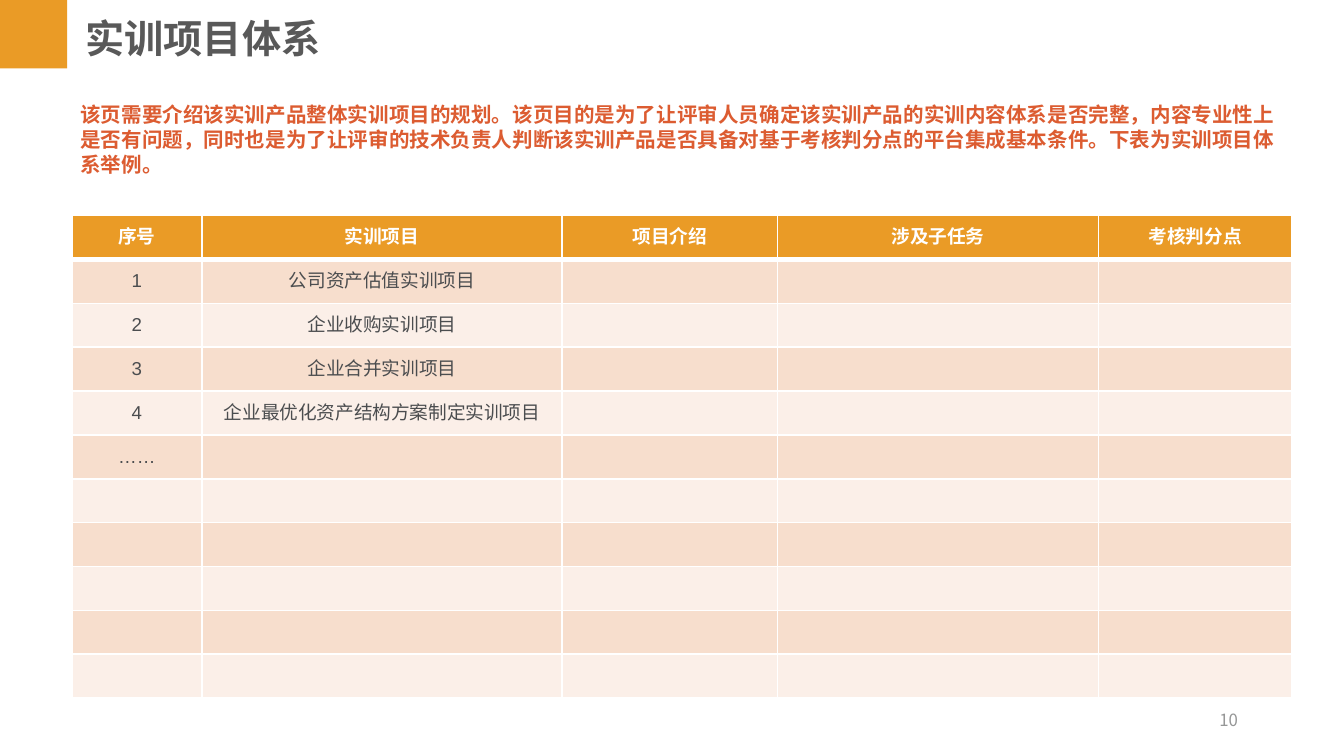
from pptx import Presentation
from pptx.dml.color import RGBColor
from pptx.enum.shapes import MSO_SHAPE
from pptx.enum.text import MSO_ANCHOR, MSO_AUTO_SIZE, PP_ALIGN
from pptx.oxml.xmlchemy import OxmlElement
from pptx.util import Pt

RECT = MSO_SHAPE.RECTANGLE
TOP, MIDDLE = MSO_ANCHOR.TOP, MSO_ANCHOR.MIDDLE
LEFT, CENTER, RIGHT = PP_ALIGN.LEFT, PP_ALIGN.CENTER, PP_ALIGN.RIGHT
NO_FIT = MSO_AUTO_SIZE.NONE

ORANGE = RGBColor(0xEA, 0x9B, 0x26)
RUST = RGBColor(0xDC, 0x5C, 0x31)
PEACH = RGBColor(0xF7, 0xDE, 0xCD)
CREAM = RGBColor(0xFB, 0xEF, 0xE8)
WHITE = RGBColor(0xFF, 0xFF, 0xFF)
DARK = RGBColor(0x59, 0x59, 0x59)
INK = RGBColor(0x4B, 0x4D, 0x4F)
GRAY = RGBColor(0x96, 0x97, 0x97)

HEADS = ["序号", "实训项目", "项目介绍", "涉及子任务", "考核判分点"]
ITEMS = [
    ["1", "公司资产估值实训项目"],
    ["2", "企业收购实训项目"],
    ["3", "企业合并实训项目"],
    ["4", "企业最优化资产结构方案制定实训项目"],
    ["……"],
]
WIDTHS = [69.6, 193, 115.4, 172, 103.8]
ROWS = 11
INTRO = (
    "该页需要介绍该实训产品整体实训项目的规划。"
    "该页目的是为了让评审人员确定该实训产品的实训内容体系是否完整，内容专业性上是否有问题，"
    "同时也是为了让评审的技术负责人判断该实训产品是否具备对基于考核判分点的平台集成基本条件。"
    "下表为实训项目体系举例。"
)


def write(frame, text, size, color, face="Noto Sans CJK SC", bold=False, align=LEFT, pitch=None):
    para = frame.paragraphs[0]
    para.alignment = align
    if pitch:
        para.line_spacing = Pt(pitch)
    if not text:
        end = OxmlElement("a:endParaRPr")
        end.set("sz", str(size * 100))
        para._p.append(end)
        return
    run = para.add_run()
    run.text = text
    font = run.font
    font.name, font.size, font.bold = face, Pt(size), bold
    font.color.rgb = color
    east = OxmlElement("a:ea")
    east.set("typeface", face)
    run._r.get_or_add_rPr().append(east)


def edge(cell, side, width):
    line = OxmlElement("a:ln" + side)
    line.set("w", str(Pt(width)))
    fill = OxmlElement("a:solidFill")
    color = OxmlElement("a:srgbClr")
    color.set("val", str(WHITE))
    fill.append(color)
    line.append(fill)
    cell._tc.get_or_add_tcPr().append(line)


class Page:
    def __init__(self, deck):
        self.slide = deck.slides.add_slide(deck.slide_layouts[5])
        self.shapes = self.slide.shapes

    def block(self, x, y, w, h, color):
        shape = self.shapes.add_shape(RECT, Pt(x), Pt(y), Pt(w), Pt(h))
        shape.shadow.inherit = False
        shape.fill.solid()
        shape.fill.fore_color.rgb = color
        shape.line.fill.background()

    def title(self, text, x, y, w, h, **style):
        shape = self.shapes.title
        shape.left, shape.top, shape.width, shape.height = Pt(x), Pt(y), Pt(w), Pt(h)
        self.fit(shape.text_frame, text, **style)

    def label(self, text, x, y, w, h, **style):
        shape = self.shapes.add_textbox(Pt(x), Pt(y), Pt(w), Pt(h))
        self.fit(shape.text_frame, text, **style)

    def fit(self, frame, text, anchor=TOP, drop=0, **style):
        frame.word_wrap = True
        frame.auto_size = NO_FIT
        frame.vertical_anchor = anchor
        frame.margin_top = Pt(3.6 + drop)
        write(frame, text, **style)

    def table(self, heads, items, x, y, widths, rows, height):
        shape = self.shapes.add_table(rows, len(heads), Pt(x), Pt(y), Pt(sum(widths)), Pt(height))
        grid = shape.table
        for col, width in zip(grid.columns, widths):
            col.width = Pt(width)
        for row in grid.rows:
            row.height = Pt(height / rows)
        for r in range(rows):
            texts = ([heads] + items)[r] if r <= len(items) else []
            for c in range(len(heads)):
                self.cell(grid.cell(r, c), texts[c] if c < len(texts) else "", r)

    def cell(self, cell, text, row):
        head = row == 0
        edge(cell, "L", 1)
        edge(cell, "R", 1)
        edge(cell, "T", 3 if row == 1 else 1)
        edge(cell, "B", 3 if head else 1)
        cell.fill.solid()
        cell.fill.fore_color.rgb = ORANGE if head else PEACH if row % 2 else CREAM
        cell.vertical_anchor = MIDDLE
        cell.margin_left = cell.margin_right = Pt(5)
        cell.margin_top = cell.margin_bottom = Pt(2.7)
        write(cell.text_frame, text, size=10, color=WHITE if head else INK,
              face="Arial", bold=head, align=CENTER)


def main():
    deck = Presentation()
    deck.slide_width, deck.slide_height = Pt(720), Pt(405)
    page = Page(deck)
    page.block(0, 0, 36, 36.7, ORANGE)
    page.title("实训项目体系", 38.5, 2, 265, 32.4, size=21, color=DARK, bold=True, pitch=25.2, drop=2)
    page.table(HEADS, ITEMS, 38.5, 115.5, WIDTHS, ROWS, 258.5)
    page.label(INTRO, 36, 49.7, 656, 47.5, size=11, color=RUST, bold=True, pitch=13.2, drop=1.5)
    page.label("10", 508.3, 375, 162, 21.6, size=9, color=GRAY, align=RIGHT, anchor=MIDDLE)
    deck.save("out.pptx")


if __name__ == "__main__":
    main()
